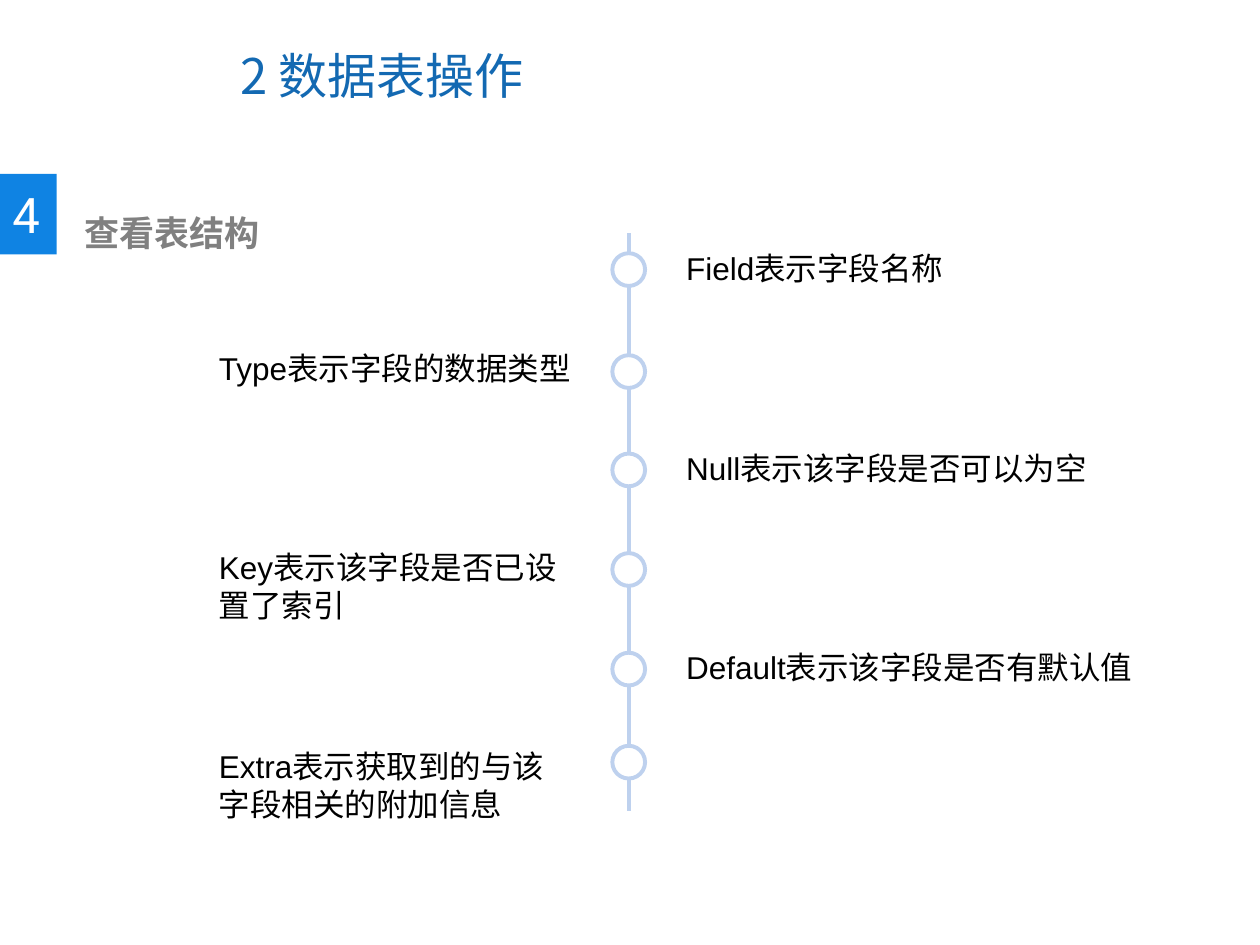
from lxml.etree import SubElement
from pptx import Presentation
from pptx.dml.color import RGBColor
from pptx.enum.shapes import MSO_CONNECTOR, MSO_SHAPE
from pptx.enum.text import MSO_ANCHOR, PP_ALIGN
from pptx.oxml.ns import qn
from pptx.util import Pt

CJK = "Noto Sans CJK SC"
FORMATS = {
    "title": {"size": Pt(28), "name": CJK, "bold": False, "color": "1369B2"},
    "number": {"size": Pt(28), "name": "Roboto", "bold": False, "color": "FFFFFF"},
    "heading": {"size": Pt(20), "name": CJK, "bold": True, "color": "808080"},
    "field": {"size": Pt(18), "name": "Arial", "bold": False, "color": "000000"},
}
FIELDS = [
    ("Field表示字段名称", 162.7),
    ("Type表示字段的数据类型", 217.4),
    ("Null表示该字段是否可以为空", 244),
    ("Key表示该字段是否已设置了索引", 217.4),
    ("Default表示该字段是否有默认值", 272.2),
    ("Extra表示获取到的与该字段相关的附加信息", 217.4),
]
RING_TOPS = [11.5, 69.8, 126, 182.9, 239.8, 293]
RING_SIZE = 18.7
LINE_COLOR = "BED1EE"


def rgb(hex_color):
    """Turn a hex string into a colour."""
    return RGBColor.from_string(hex_color)


def write(frame, wording, style, anchor=MSO_ANCHOR.TOP):
    """Fill a text frame with one left-aligned line of a named format."""
    frame.word_wrap = True
    frame.vertical_anchor = anchor
    paragraph = frame.paragraphs[0]
    paragraph.alignment = PP_ALIGN.LEFT
    run = paragraph.add_run()
    run.text = wording
    for attribute, value in FORMATS[style].items():
        if attribute == "color":
            run.font.color.rgb = rgb(value)
        else:
            setattr(run.font, attribute, value)
    SubElement(run.font._element, qn("a:ea"), typeface=CJK)


def add_label(slide, box, wording, style, anchor=MSO_ANCHOR.TOP):
    """Place a wrapped text box."""
    label = slide.shapes.add_textbox(*map(Pt, box))
    write(label.text_frame, wording, style, anchor)


def add_section(slide, left, top, width, height):
    """Place the numbered badge and the section heading beside it."""
    badge = slide.shapes.add_shape(
        MSO_SHAPE.RECTANGLE, Pt(left), Pt(top), Pt(32.4), Pt(height)
    )
    badge.shadow.inherit = False
    badge.fill.solid()
    badge.fill.fore_color.rgb = rgb("0F83E3")
    badge.line.fill.background()
    write(badge.text_frame, "4", "number", MSO_ANCHOR.MIDDLE)
    heading_left = 41
    heading_box = (left + heading_left, top + 18, width - heading_left, 31.7)
    add_label(slide, heading_box, "查看表结构", "heading")


def add_timeline(slide, left, top, width, height):
    """Place the axis, its rings and the fields on alternating sides."""
    axis_x = left + width / 2
    axis = slide.shapes.add_connector(
        MSO_CONNECTOR.STRAIGHT, Pt(axis_x), Pt(top), Pt(axis_x), Pt(top + height)
    )
    SubElement(axis._element.spPr, qn("a:effectLst"))
    axis.line.color.rgb = rgb(LINE_COLOR)
    axis.line.width = Pt(2.25)
    for index, ((wording, field_width), ring_top) in enumerate(zip(FIELDS, RING_TOPS)):
        ring = slide.shapes.add_shape(
            MSO_SHAPE.OVAL, Pt(axis_x - RING_SIZE / 2), Pt(top + ring_top),
            Pt(RING_SIZE), Pt(RING_SIZE),
        )
        ring.shadow.inherit = False
        ring.fill.solid()
        ring.fill.fore_color.rgb = rgb("FFFFFF")
        ring.line.color.rgb = rgb(LINE_COLOR)
        ring.line.width = Pt(2.25)
        field_left = left if index % 2 else axis_x + 25.7
        field_top = top + 5.8 + 56.9 * index
        add_label(slide, (field_left, field_top, field_width, 51), wording, "field")


def main():
    """Build the slide and save it."""
    deck = Presentation()
    deck.slide_width, deck.slide_height = Pt(720), Pt(540)
    slide = deck.slides.add_slide(deck.slide_layouts[6])
    add_label(slide, (130.3, 12.2, 371.5, 61.2), "2 数据表操作", "title", MSO_ANCHOR.MIDDLE)
    add_section(slide, 0, 99.4, 404, 46)
    add_timeline(slide, 118, 133.2, 482.6, 330.5)
    deck.save("out.pptx")


if __name__ == "__main__":
    main()
